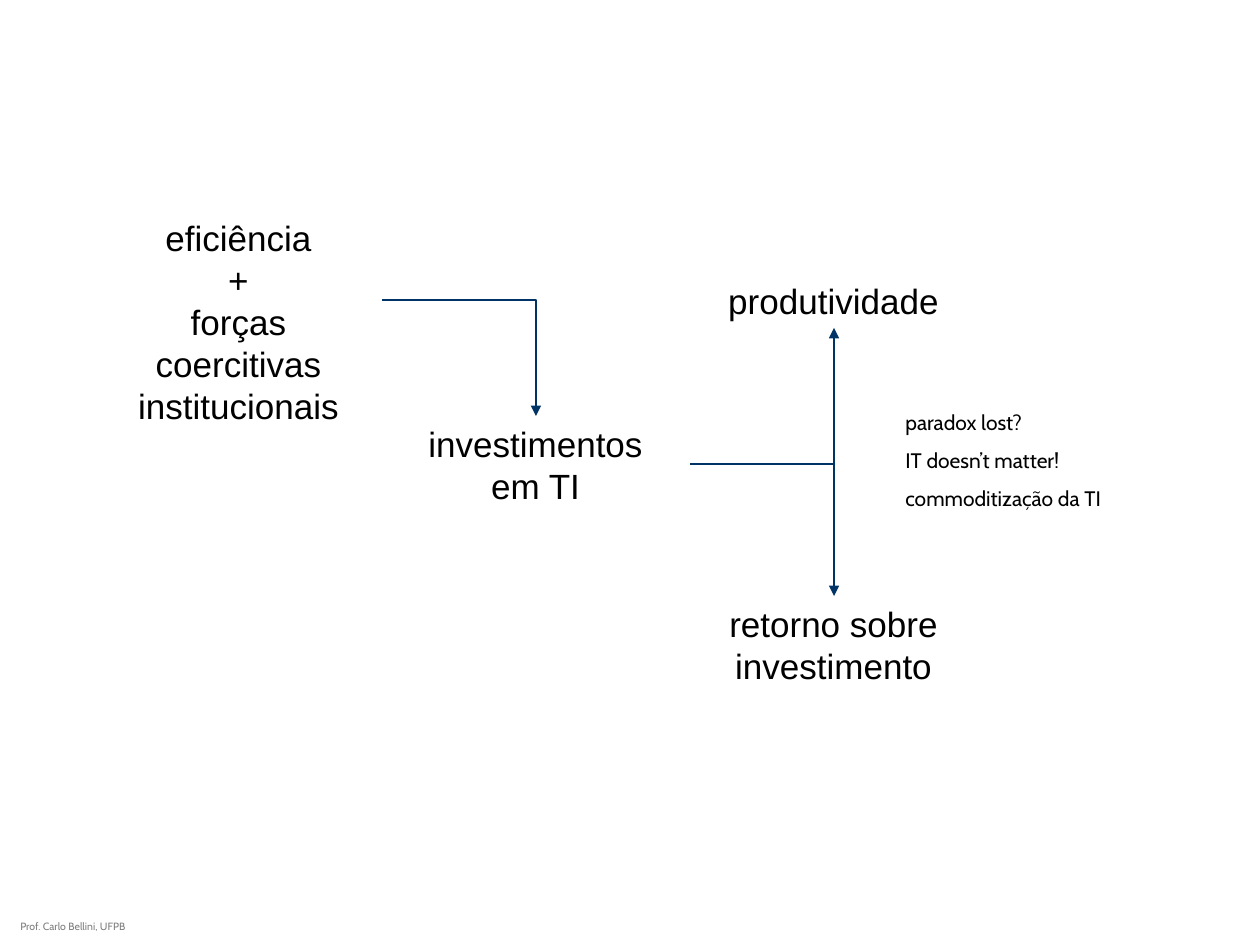
from lxml import etree
from pptx import Presentation
from pptx.dml.color import RGBColor
from pptx.enum.shapes import MSO_CONNECTOR
from pptx.enum.text import MSO_AUTO_SIZE, PP_ALIGN
from pptx.oxml.ns import qn
from pptx.util import Emu, Pt

ELBOW = MSO_CONNECTOR.ELBOW
GROW = MSO_AUTO_SIZE.SHAPE_TO_FIT_TEXT
LEFT, MID = PP_ALIGN.LEFT, PP_ALIGN.CENTER
SCALE = 914400 / 126


def px(n):
    return Emu(round(n * SCALE))


def color(code):
    return RGBColor.from_string(code)


deck = Presentation()
deck.slide_width, deck.slide_height = px(1260), px(945)
slide = deck.slides.add_slide(deck.slide_layouts[6])

# Box, text, font, size, colour, alignment, gap between paragraphs
ideas = [
    ((95, 210, 287, 223), "eficiência\n+\nforças coercitivas\ninstitucionais"),
    ((382, 416, 307, 97), "investimentos\nem TI"),
    ((680, 596, 307, 97), "retorno sobre investimento"),
    ((680, 273, 307, 55), "produtividade"),
]
texts = [(box, words, "Arial", 20, "000000", MID, 0) for box, words in ideas]
texts += [
    ((893, 403, 304, 115),
     "paradox lost?\nIT doesn’t matter!\ncommoditização da TI",
     "Cabin", 12, "000000", LEFT, 7.5),
    ((8, 914, 430, 25), "Prof. Carlo Bellini, UFPB",
     "Cabin", 6, "7F7F7F", LEFT, 0),
]
for box, words, face, size, ink, align, gap in texts:
    frame = slide.shapes.add_textbox(*map(px, box)).text_frame
    frame.word_wrap = True
    frame.auto_size = GROW
    frame.text = words
    for i, para in enumerate(frame.paragraphs):
        para.alignment = align
        para.space_before = Pt(gap if i else 0)
        for run in para.runs:
            run.font.name = face
            run.font.size = Pt(size)
            run.font.color.rgb = color(ink)

# Arrows run across first, then up or down to the next idea
arrows = [(382, 300, 536, 416), (690, 464, 834, 596), (690, 464, 834, 328)]
for ends in arrows:
    arrow = slide.shapes.add_connector(ELBOW, *map(px, ends))
    arrow.line.color.rgb = color("003366")
    arrow.line.width = Pt(1)
    props = arrow._element.spPr
    props.find(qn("a:prstGeom")).set("prst", "bentConnector2")
    etree.SubElement(props.find(qn("a:ln")), qn("a:tailEnd"), type="triangle")
    etree.SubElement(props, qn("a:effectLst"))

deck.save("out.pptx")
